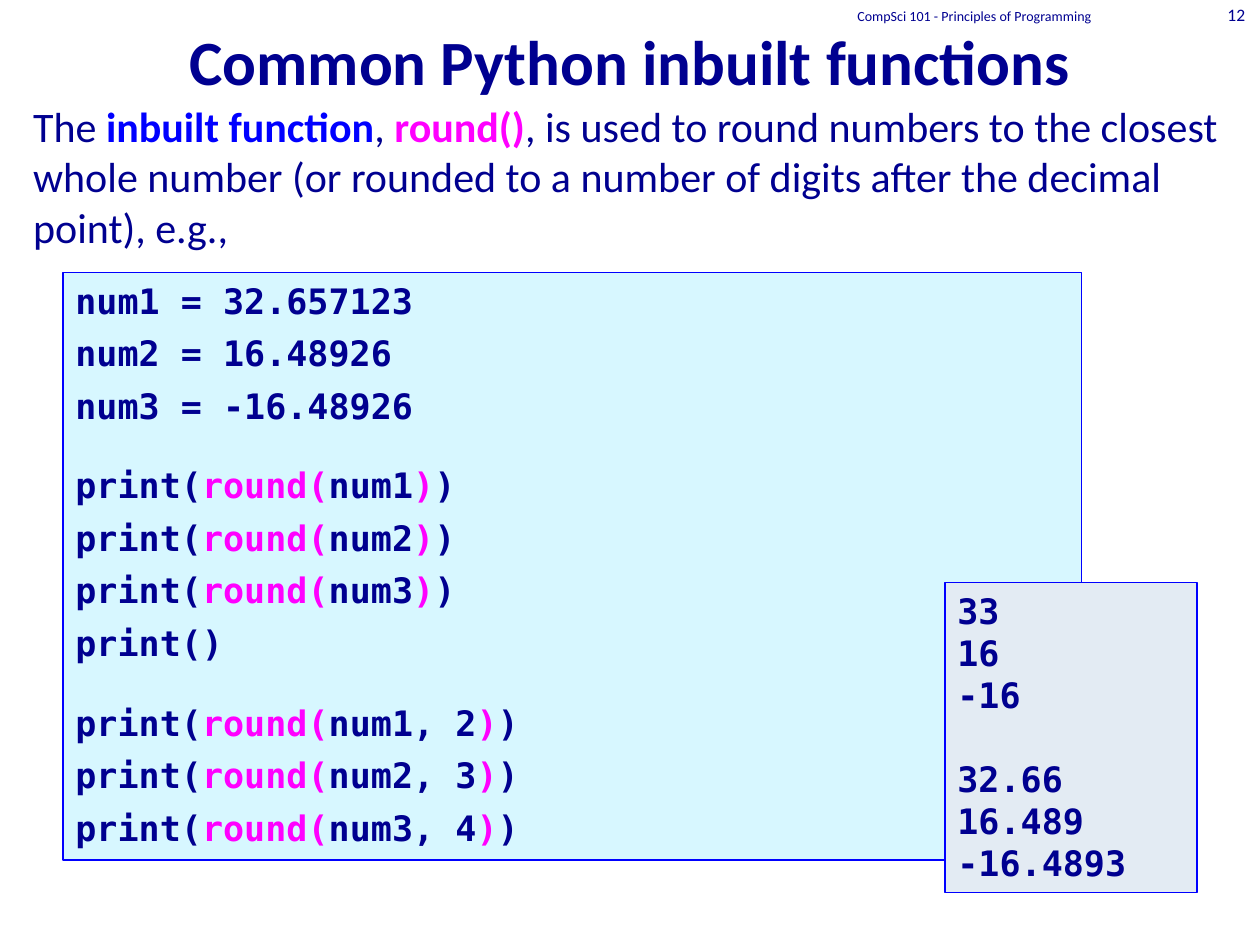
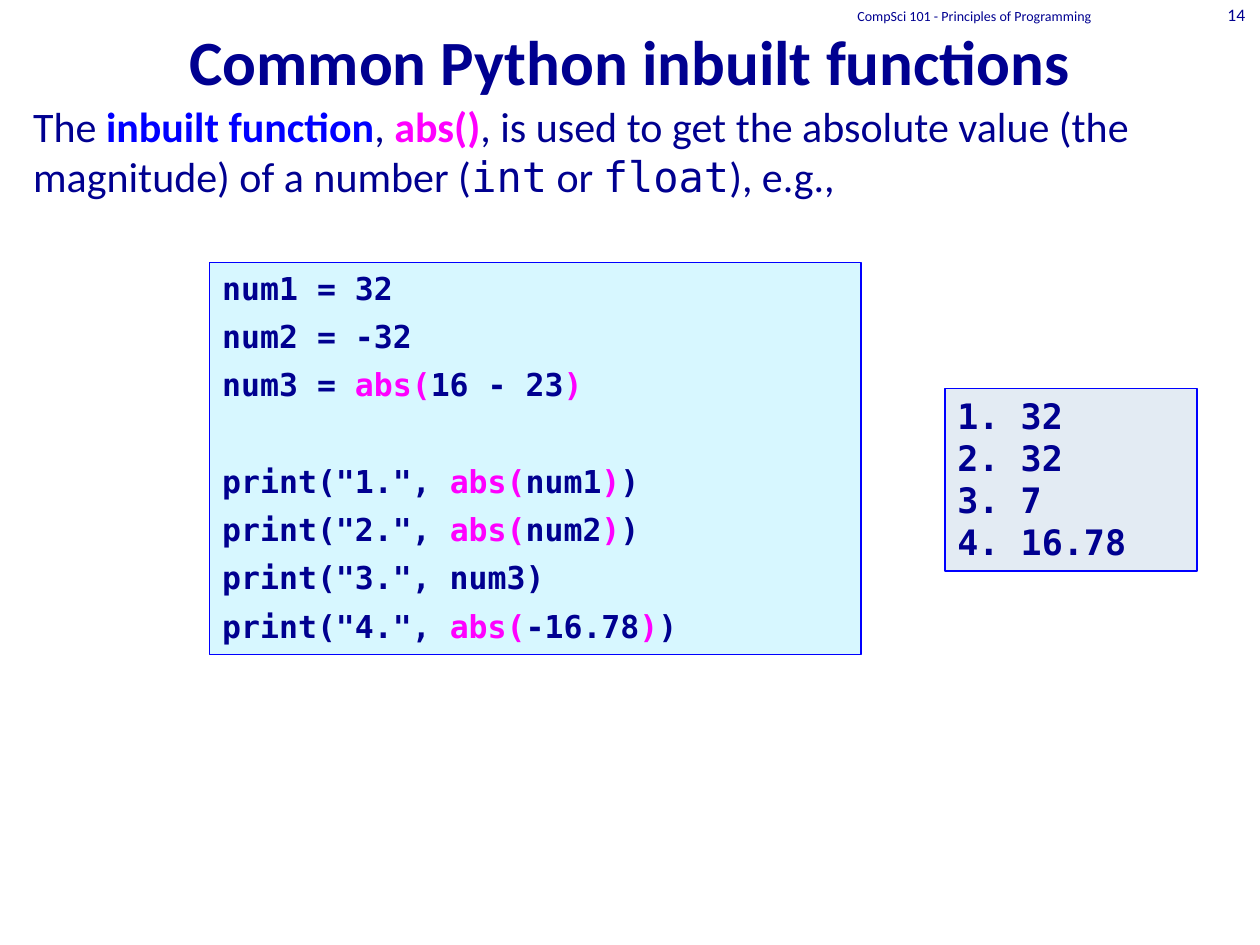
import pptx
import pptx.dml.color
import pptx.enum.shapes
import pptx.enum.text
import pptx.util

Cm = pptx.util.Cm
Pt = pptx.util.Pt
RGBColor = pptx.dml.color.RGBColor
Align = pptx.enum.text.PP_ALIGN
Anchor = pptx.enum.text.MSO_ANCHOR

NAVY = RGBColor(0x00, 0x00, 0x90)
BLUE = RGBColor(0x00, 0x00, 0xFF)
PINK = RGBColor(0xFF, 0x00, 0xFF)
CYAN = RGBColor(0xD7, 0xF7, 0xFF)
GREY = RGBColor(0xE3, 0xEB, 0xF3)

SANS = "Calibri"
MONO = "DejaVu Sans Mono"

KEY = {"color": BLUE, "bold": True}
HOT = {"color": PINK, "bold": True}
CODE = {"name": MONO}


class Deck:
    """Holds the shared style and the slide being built."""

    def __init__(self):
        self.file = pptx.Presentation()
        self.file.slide_width = Cm(25.4)
        self.file.slide_height = Cm(19.05)
        self.slide = None

    def start(self, number, intro):
        """Add a slide with its title, intro text, footer and number."""
        self.slide = self.file.slides.add_slide(self.file.slide_layouts[6])
        self.label((0, 0, 25.4, 2.1), ["Common Python inbuilt functions"],
                   36, Align.CENTER, Anchor.BOTTOM, bold=True)
        self.label((0.42, 1.9, 24.56, 15.04), intro, 24)
        self.label((14.6, -0.21, 10.16, 1.06),
                   ["CompSci 101 - Principles of Programming "],
                   8, Align.CENTER, Anchor.MIDDLE)
        self.label((23.92, -0.21, 1.43, 0.99), [str(number)],
                   10, Align.RIGHT, Anchor.MIDDLE)

    def label(self, area, runs, size, align=Align.LEFT, anchor=Anchor.TOP,
              bold=False):
        box = self.slide.shapes.add_textbox(*map(Cm, area))
        self.frame(box, anchor)
        para = box.text_frame.paragraphs[0]
        self.fill(para, runs, {"size": Pt(size), "bold": bold}, align)

    def panel(self, area, shade, groups, size, space=0, gap=0):
        """Draw a code box; each group of lines after the first sits
        an extra gap lower."""
        box = self.slide.shapes.add_shape(
            pptx.enum.shapes.MSO_SHAPE.RECTANGLE, *map(Cm, area))
        box.shadow.inherit = False
        box.fill.solid()
        box.fill.fore_color.rgb = shade
        box.line.color.rgb = BLUE
        box.line.width = Pt(0.75)
        self.frame(box, Anchor.TOP)
        look = {"name": MONO, "size": Pt(size), "bold": True}
        first = True
        for group in groups:
            for row, runs in enumerate(group):
                text = box.text_frame
                para = text.paragraphs[0] if first else text.add_paragraph()
                apart = gap if row == 0 and not first else 0
                para.space_before = Pt(space + apart)
                self.fill(para, runs, look, Align.LEFT)
                first = False

    def frame(self, box, anchor):
        box.text_frame.word_wrap = True
        box.text_frame.vertical_anchor = anchor

    def fill(self, para, runs, look, align):
        """Fill a paragraph with runs: plain strings or (text, format)."""
        para.alignment = align
        for item in runs:
            text, extra = (item, {}) if isinstance(item, str) else item
            run = para.add_run()
            run.text = text
            form = {"name": SANS, "color": NAVY, **look, **extra}
            run.font.color.rgb = form.pop("color")
            for name, value in form.items():
                setattr(run.font, name, value)


def call(name, value):
    return [(name + "(", HOT), value, (")", HOT)]


def show(name, value, lead=""):
    """Give the runs of a print line around a marked call."""
    return ["print(" + lead, *call(name, value), ")"]


def plain(*lines):
    return [[line] for line in lines]


def main():
    deck = Deck()

    deck.start(12, [
        "The ", ("inbuilt function", KEY), ", ", ("round()", HOT),
        ", is used to round numbers to the closest whole number "
        "(or rounded to a number of digits after the decimal point), e.g.,"])
    deck.panel((1.27, 5.5, 20.53, 11.84), CYAN, [
        plain("num1 = 32.657123", "num2 = 16.48926", "num3 = -16.48926"),
        [show("round", f"num{i}") for i in (1, 2, 3)] + plain("print()"),
        [show("round", f"num{i}, {i + 1}") for i in (1, 2, 3)],
    ], 20, space=6, gap=15.6)
    deck.panel((19.05, 11.75, 5.08, 6.25), GREY, [
        plain("33", "16", "-16"),
        plain("32.66", "16.489", "-16.4893"),
    ], 20, gap=24)

    deck.start(14, [
        "The ", ("inbuilt function", KEY), ", ", ("abs()", HOT),
        ", is used to get the absolute value (the magnitude) of a number (",
        ("int", CODE), " or ", ("float", CODE), "), e.g.,"])
    deck.panel((4.23, 5.29, 13.13, 7.9), CYAN, [
        plain("num1 = 32", "num2 = -32")
        + [["num3 = ", *call("abs", "16 - 23")]],
        [show("abs", "num1", '"1.", '),
         show("abs", "num2", '"2.", '),
         ['print("3.", num3)'],
         show("abs", "-16.78", '"4.", ')],
    ], 18, space=6, gap=27.6)
    deck.panel((19.05, 7.83, 5.08, 3.68), GREY, [
        plain("1. 32", "2. 32", "3. 7", "4. 16.78"),
    ], 20)

    deck.file.save("out.pptx")


if __name__ == "__main__":
    main()
